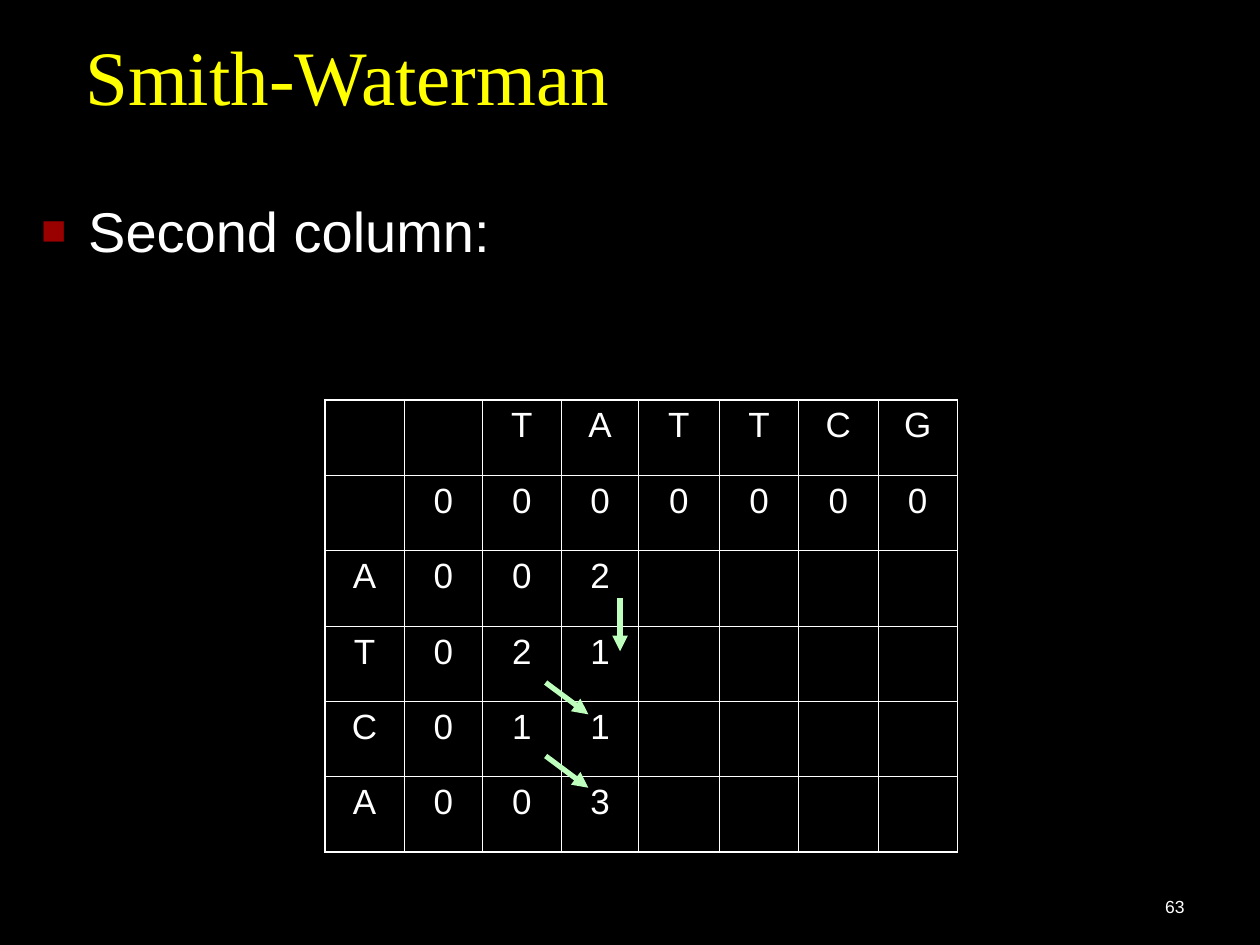
from pptx import Presentation
from pptx.dml.color import RGBColor
from pptx.enum.shapes import MSO_CONNECTOR
from pptx.enum.text import MSO_ANCHOR, PP_ALIGN
from pptx.oxml import parse_xml
from pptx.oxml.ns import nsdecls
from pptx.util import Cm, Pt

COLORS = {
    "background": "000000",
    "title": "FFFF00",
    "text": "FFFFFF",
    "border": "FFFFFF",
    "bullet": "990000",
    "arrow": "BEFFBE",
}
SCORES = [
    ["", "", "T", "A", "T", "T", "C", "G"],
    ["", *"0000000"],
    ["A", "0", "0", "2", "", "", "", ""],
    ["T", "0", "2", "1", "", "", "", ""],
    ["C", "0", "1", "1", "", "", "", ""],
    ["A", "0", "0", "3", "", "", "", ""],
]
COLUMN_WIDTHS = [1.6, 1.57, 1.6, 1.55, 1.63, 1.6, 1.6, 1.6]
ROW_HEIGHT = 1.52
ARROWS = [
    (11, 13.76, 11.86, 14.4),
    (11, 15.24, 11.86, 15.88),
    (12.5, 12.06, 12.5, 13.13),
]


def color(name):
    return RGBColor.from_string(COLORS[name])


def write(frame, text, size, font="Arial", fill="text", align=PP_ALIGN.LEFT,
          spacing=None, bullet=False):
    para = frame.paragraphs[0]
    para.alignment = align
    para.line_spacing = spacing
    if bullet:
        add_bullet(para)
    span = para.add_run()
    span.text = text
    span.font.name = font
    span.font.size = Pt(size)
    span.font.color.rgb = color(fill)


def add_bullet(para):
    properties = para._p.get_or_add_pPr()
    properties.set("marL", str(Cm(0.95)))
    properties.set("indent", str(-Cm(0.95)))
    for element in (
        f'<a:buClr {nsdecls("a")}><a:srgbClr val="{COLORS["bullet"]}"/></a:buClr>',
        f'<a:buSzPct {nsdecls("a")} val="75000"/>',
        f'<a:buFont {nsdecls("a")} typeface="Arial"/>',
        f'<a:buChar {nsdecls("a")} char="■"/>',
    ):
        properties.append(parse_xml(element))


def add_text(page, text, left, top, width, height, anchor=MSO_ANCHOR.TOP, **style):
    box = page.shapes.add_textbox(Cm(left), Cm(top), Cm(width), Cm(height))
    box.text_frame.word_wrap = True
    box.text_frame.vertical_anchor = anchor
    write(box.text_frame, text, **style)


def set_borders(cell, outer_sides):
    properties = cell._tc.get_or_add_tcPr()
    for position, side in enumerate("LRTB"):
        width = Pt(1.08 if side in outer_sides else 0.45)
        properties.insert(position, parse_xml(
            f'<a:ln{side} {nsdecls("a")} w="{width}"><a:solidFill>'
            f'<a:srgbClr val="{COLORS["border"]}"/></a:solidFill></a:ln{side}>'))


def add_score_table(page, left, top):
    row_count, column_count = len(SCORES), len(COLUMN_WIDTHS)
    table = page.shapes.add_table(
        row_count, column_count, Cm(left), Cm(top),
        Cm(sum(COLUMN_WIDTHS)), Cm(ROW_HEIGHT * row_count)).table
    table.first_row = table.horz_banding = False
    for column, width in zip(table.columns, COLUMN_WIDTHS):
        column.width = Cm(width)
    for i, values in enumerate(SCORES):
        table.rows[i].height = Cm(ROW_HEIGHT)
        for j, value in enumerate(values):
            cell = table.cell(i, j)
            cell.fill.background()
            edges = {"L": j == 0, "R": j == column_count - 1,
                     "T": i == 0, "B": i == row_count - 1}
            set_borders(cell, [side for side, outer in edges.items() if outer])
            if value:
                write(cell.text_frame, value, 20, align=PP_ALIGN.CENTER)


def add_arrow(page, *ends):
    arrow = page.shapes.add_connector(MSO_CONNECTOR.STRAIGHT, *map(Cm, ends))
    arrow.line.color.rgb = color("arrow")
    arrow.line.width = Pt(3)
    arrow.line._get_or_add_ln().append(
        parse_xml(f'<a:tailEnd {nsdecls("a")} type="triangle"/>'))
    arrow._element.spPr.append(parse_xml(f'<a:effectLst {nsdecls("a")}/>'))


def main():
    deck = Presentation()
    deck.slide_width, deck.slide_height = Cm(25.4), Cm(19.05)
    page = deck.slides.add_slide(deck.slide_layouts[6])
    page.background.fill.solid()
    page.background.fill.fore_color.rgb = color("background")

    add_text(page, "Smith-Waterman", 1.47, 0.58, 22.66, 1.98, MSO_ANCHOR.BOTTOM,
             size=44, font="Times New Roman", fill="title", spacing=0.8)
    add_score_table(page, 6.55, 8.06)
    add_text(page, "Second column:", 0.58, 3.84, 24.82, 9.07, size=32, bullet=True)
    for ends in ARROWS:
        add_arrow(page, *ends)
    add_text(page, "63", 18.85, 17.35, 5.28, 1.27, MSO_ANCHOR.BOTTOM,
             size=10, align=PP_ALIGN.RIGHT)
    deck.save("out.pptx")


if __name__ == "__main__":
    main()
